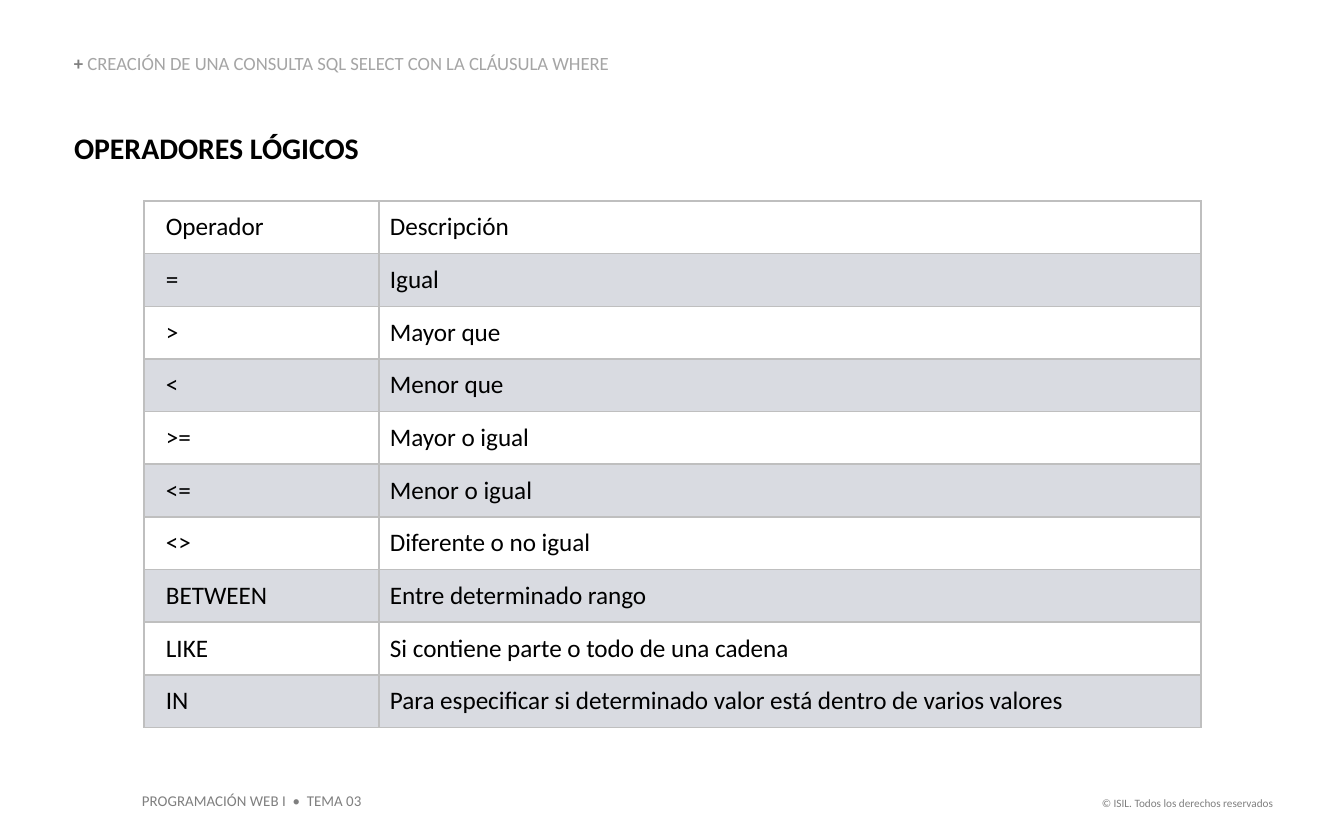
from lxml.etree import SubElement
from pptx import Presentation
from pptx.dml.color import RGBColor
from pptx.enum.text import MSO_ANCHOR, MSO_AUTO_SIZE, PP_ALIGN
from pptx.oxml.ns import qn
from pptx.util import Emu, Pt

COLORS = {
    "text": "000000",
    "footer": "7F7F7F",
    "section": "A5A5A5",
    "border": "BFBFBF",
    "plain": "FFFFFF",
    "band": "D9DBE1",
}
OPERATORS = [
    ("Operador", "Descripción"),
    ("=", "Igual"),
    (">", "Mayor que"),
    ("<", "Menor que"),
    (">=", "Mayor o igual"),
    ("<=", "Menor o igual"),
    ("<>", "Diferente o no igual"),
    ("BETWEEN", "Entre determinado rango"),
    ("LIKE", "Si contiene parte o todo de una cadena"),
    ("IN", "Para especificar si determinado valor está dentro de varios valores"),
]


def px(value):
    return Emu(value * 9144000 // 1344)


def write(box, parts, size, anchor, margins=(0, 0), align=PP_ALIGN.LEFT, spacing=1.0):
    """Fill a box with one paragraph of (text, color, bold) parts."""
    frame = box.text_frame
    frame.word_wrap = True
    frame.auto_size = MSO_AUTO_SIZE.NONE
    frame.vertical_anchor = anchor
    frame.margin_left = frame.margin_right = px(margins[0])
    frame.margin_top = frame.margin_bottom = px(margins[1])
    para = frame.paragraphs[0]
    para.alignment = align
    para.line_spacing = spacing
    for text, color, bold in parts:
        span = para.add_run()
        span.text = text
        span.font.name = "Calibri"
        span.font.size = Pt(size)
        span.font.bold = bold
        span.font.color.rgb = RGBColor.from_string(COLORS[color])


deck = Presentation()
deck.slide_width, deck.slide_height = px(1344), px(840)
page = deck.slides.add_slide(deck.slide_layouts[5])

# Title
title = page.shapes.title
title.left, title.top, title.width, title.height = px(74), px(134), px(316), px(32)
write(title, [("OPERADORES LÓGICOS", "text", True)], 16, MSO_ANCHOR.MIDDLE, spacing=0.9)

# Section heading
section = page.shapes.add_textbox(px(74), px(55), px(1068), px(20))
write(section, [("+ ", "footer", True),
                ("CREACIÓN DE UNA CONSULTA SQL SELECT CON LA CLÁUSULA WHERE", "section", False)],
      10, MSO_ANCHOR.BOTTOM, spacing=0.9)

# Footer
course = page.shapes.add_textbox(px(129), px(785), px(247), px(32))
write(course, [("PROGRAMACIÓN WEB I  •  TEMA 03", "footer", False)], 8, MSO_ANCHOR.TOP, (13, 7))
rights = page.shapes.add_textbox(px(1084), px(789), px(202), px(27))
write(rights, [("© ISIL. Todos los derechos reservados", "footer", False)],
      6, MSO_ANCHOR.TOP, (13, 7), PP_ALIGN.RIGHT)

# Operator table
table = page.shapes.add_table(len(OPERATORS), 2, px(144), px(201), px(1057), px(526)).table
table.columns[0].width, table.columns[1].width = px(235), px(822)
for row_index, texts in enumerate(OPERATORS):
    for column_index, text in enumerate(texts):
        cell = table.cell(row_index, column_index)
        cell.margin_left = px(11 if column_index else 22)
        cell.margin_right = cell.margin_top = cell.margin_bottom = px(11)
        cell.text_frame.text = text
        font = cell.text_frame.paragraphs[0].runs[0].font
        font.name, font.size, font.bold = "Calibri", Pt(13.5), False
        font.color.rgb = RGBColor.from_string(COLORS["text"])

        # Borders go before the fill in the cell properties
        properties = cell._tc.get_or_add_tcPr()
        for side in ("a:lnL", "a:lnR", "a:lnT", "a:lnB"):
            line = SubElement(properties, qn(side), w=str(Pt(1)))
            fill = SubElement(line, qn("a:solidFill"))
            SubElement(fill, qn("a:srgbClr"), val=COLORS["border"])
        cell.fill.solid()
        cell.fill.fore_color.rgb = RGBColor.from_string(COLORS["band" if row_index % 2 else "plain"])

deck.save("out.pptx")
